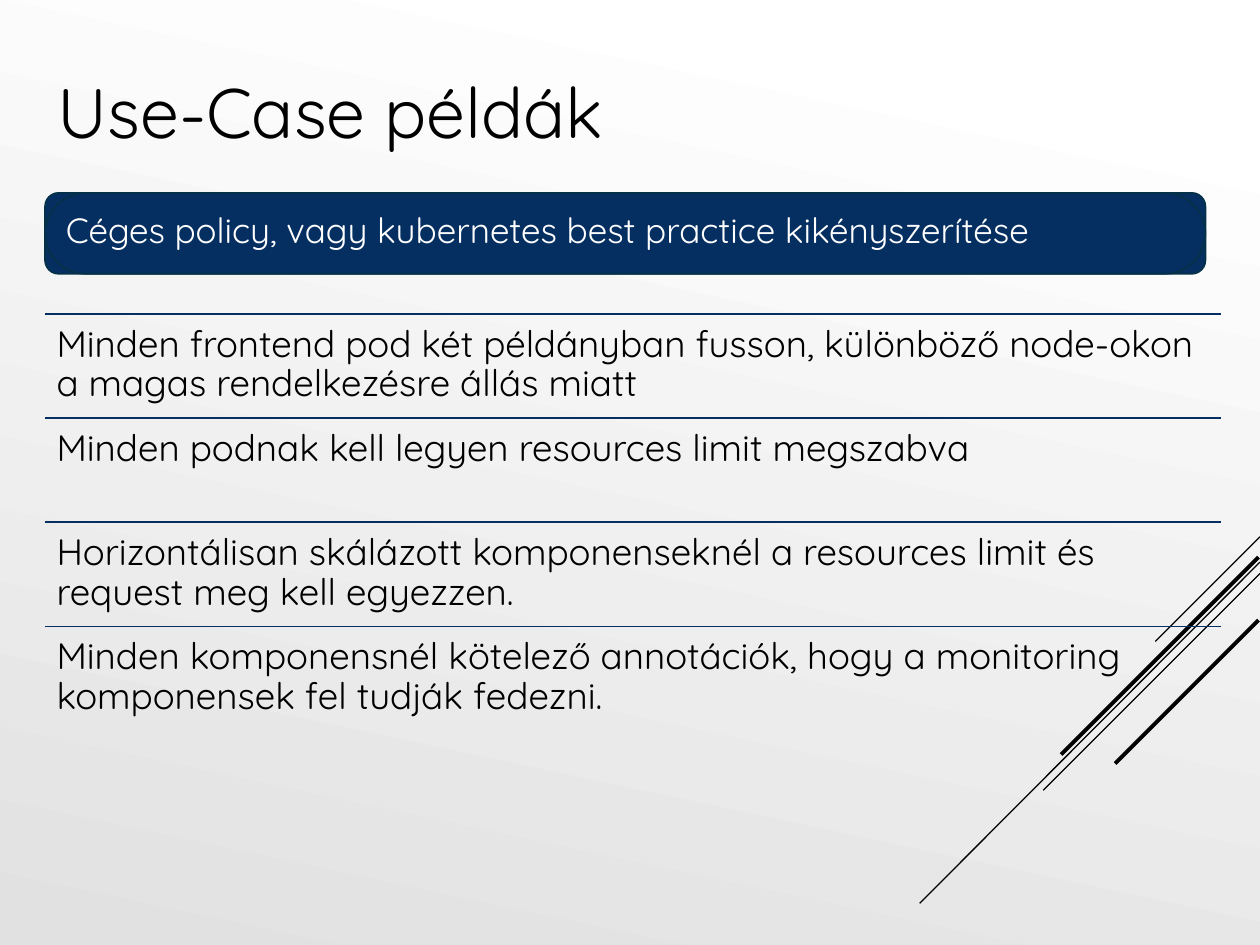
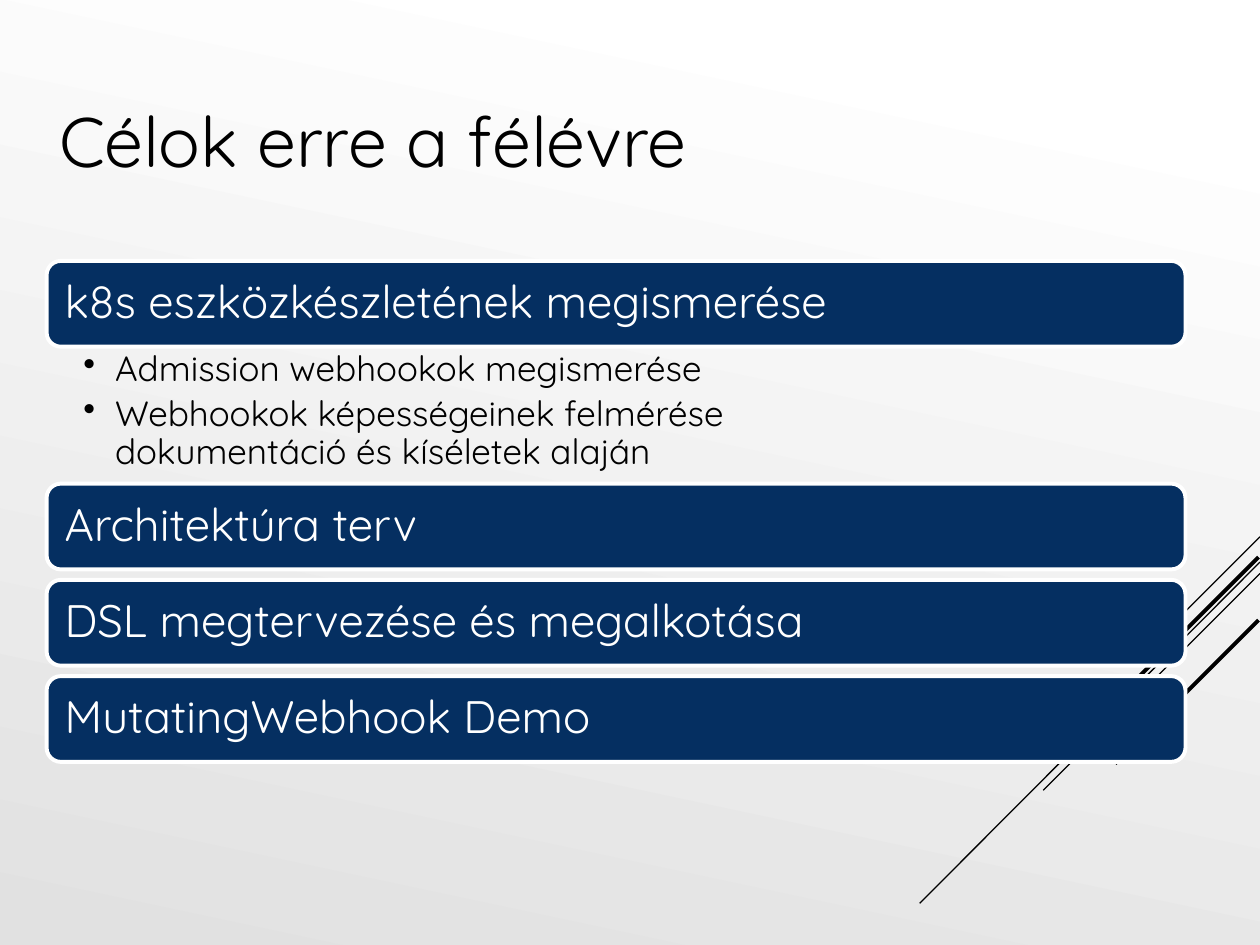
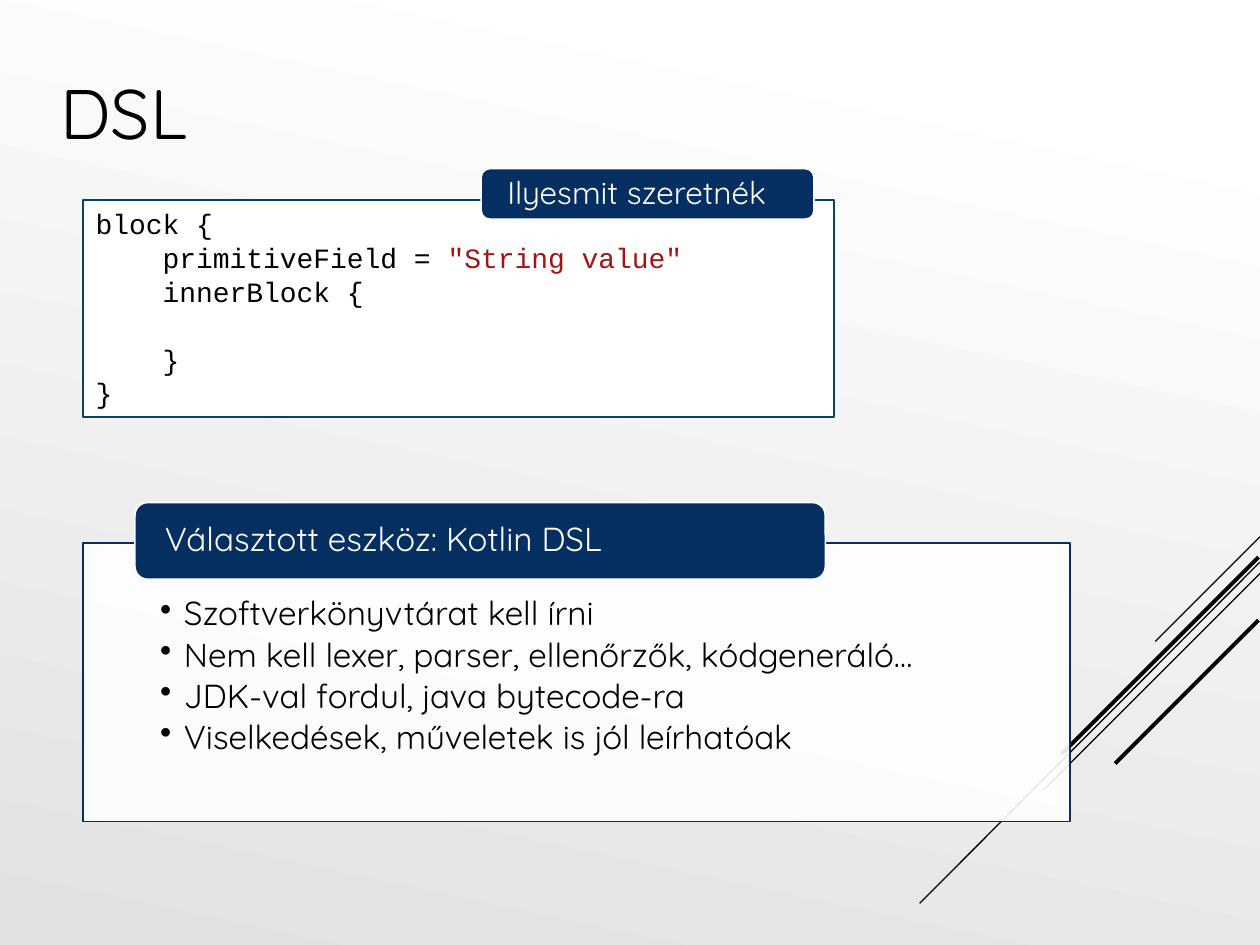
from dataclasses import dataclass

from lxml import etree
from pptx import Presentation
from pptx import util as u
from pptx.dml.color import RGBColor
from pptx.enum import shapes, text
from pptx.oxml.ns import qn


@dataclass(frozen=True)
class Theme:
    ink: str = "000000"
    paper: str = "FFFFFF"
    shade: str = "E1E1E1"
    navy: str = "052F61"
    navy_edge: str = "043148"
    code_edge: str = "054361"
    literal: str = "A31515"
    body_font: str = "Quicksand"
    code_font: str = "Courier New"
    title: int = 40
    bar: int = 26
    row: int = 21
    body: int = 20
    panel: int = 19
    tag: int = 18
    code: int = 16


def apply(target, values):
    for name, value in values.items():
        setattr(target, name, value)


def color(value):
    return RGBColor.from_string(value)


class Builder:
    def __init__(self, deck, theme):
        self.deck = deck
        self.theme = theme
        self.page = None

    def background(self):
        fill = self.deck.slide_master.background.fill
        fill.gradient()
        fill.gradient_angle = 258
        stops = ((0.1, self.theme.paper), (1, self.theme.shade))
        for stop, (position, tone) in zip(fill.gradient_stops, stops):
            stop.position = position
            stop.color.rgb = color(tone)

    def master_lines(self, lines):
        tree = self.deck.slide_master.shapes.element
        for number, (start, end, width) in enumerate(lines, 20):
            element = self.line(start, end, self.theme.ink, width).element
            element.nvCxnSpPr.cNvPr.set("id", str(number))
            tree.append(element)

    def new_page(self, title, place):
        self.page = self.deck.slides.add_slide(self.deck.slide_layouts[5])
        box = self.page.shapes.title
        apply(box, dict(zip(("left", "top", "width", "height"), map(u.Cm, place))))
        self.fill_text(box.text_frame, [title], self.theme.title, self.theme.ink,
                       anchor=text.MSO_ANCHOR.MIDDLE)

    def line(self, start, end, tone, width):
        connector = self.page.shapes.add_connector(
            shapes.MSO_CONNECTOR.STRAIGHT, *map(u.Cm, start + end))
        connector.line.color.rgb = color(tone)
        connector.line.width = u.Pt(width)
        etree.SubElement(connector.element.spPr, qn("a:effectLst"))
        return connector

    def shape(self, place, fill, edge, width=1, rounded=True, corner=None, opacity=None):
        kind = shapes.MSO_SHAPE.ROUNDED_RECTANGLE if rounded else shapes.MSO_SHAPE.RECTANGLE
        box = self.page.shapes.add_shape(kind, *map(u.Cm, place))
        box.shadow.inherit = False
        box.fill.solid()
        box.fill.fore_color.rgb = color(fill)
        box.line.color.rgb = color(edge)
        box.line.width = u.Pt(width)
        if corner is not None:
            box.adjustments[0] = corner
        if opacity is not None:
            tone = next(box.element.spPr.iter(qn("a:srgbClr")))
            etree.SubElement(tone, qn("a:alpha"), val=str(opacity * 1000))
        return box.text_frame

    def text_box(self, place):
        return self.page.shapes.add_textbox(*map(u.Cm, place)).text_frame

    def fill_text(self, frame, paras, size, tone, font=None,
                  insets=(0.25, 0.13, 0.25, 0.13), anchor=text.MSO_ANCHOR.TOP,
                  spacing=None, after=0, bullet=None):
        sides = ("margin_left", "margin_top", "margin_right", "margin_bottom")
        apply(frame, dict(zip(sides, map(u.Cm, insets))))
        apply(frame, {"word_wrap": True, "auto_size": text.MSO_AUTO_SIZE.NONE,
                      "vertical_anchor": anchor})
        for index, content in enumerate(paras):
            para = frame.paragraphs[0] if index == 0 else frame.add_paragraph()
            apply(para, {"alignment": text.PP_ALIGN.LEFT, "line_spacing": spacing,
                         "space_before": u.Pt(0), "space_after": u.Pt(after)})
            if bullet:
                self.indent(para, bullet, -bullet)
                etree.SubElement(para._p.get_or_add_pPr(), qn("a:buChar"), char="•")
            spans = [(content, tone)] if isinstance(content, str) else content
            for words, span_tone in spans:
                for part, words_line in enumerate(words.split("\n")):
                    if part:
                        para.add_line_break()
                    span = para.add_run()
                    span.text = words_line
                    apply(span.font, {"name": font or self.theme.body_font,
                                      "size": u.Pt(size)})
                    span.font.color.rgb = color(span_tone)

    def indent(self, para, left, first=0):
        properties = para._p.get_or_add_pPr()
        properties.set("marL", str(u.Cm(left)))
        properties.set("indent", str(u.Cm(first)))

    def bar(self, words, place, size, inset, width=1):
        frame = self.shape(place, self.theme.navy, self.theme.paper, width)
        self.fill_text(frame, [words], size, self.theme.paper, insets=(inset, 0, inset, 0),
                       anchor=text.MSO_ANCHOR.MIDDLE, spacing=0.9)


def use_cases(builder):
    theme = builder.theme
    builder.new_page("Use-Case példák", (0.91, 1.04, 23.7, 2.39))
    builder.master_lines([
        ((25.4, 10.82), (23.29, 12.93), 0.75),
        ((25.4, 11.33), (18.54, 18.21), 0.75),
        ((25.4, 11.56), (21.03, 15.93), 0.75),
        ((25.37, 11.23), (21.39, 15.21), 2.25),
        ((25.37, 12.5), (22.48, 15.39), 2.25),
    ])
    rows = [
        "Minden frontend pod két példányban fusson, különböző node-okon "
        "a magas rendelkezésre állás miatt",
        "Minden podnak kell legyen resources limit megszabva",
        "Horizontálisan skálázott komponenseknél a resources limit és "
        "request meg kell egyezzen.",
        "Minden komponensnél kötelező annotációk, hogy a monitoring "
        "komponensek fel tudják fedezni.",
    ]
    left, width, height = 0.91, 23.7, 2.1
    for index, words in enumerate(rows):
        top = 6.33 + index * height
        builder.line((left, top), (left + width, top), theme.navy, 1)
        builder.fill_text(builder.text_box((left, top, width, height)), [words], theme.row,
                          theme.ink, insets=(0.23,) * 4, spacing=0.9)
    banner = (left, 3.89, 23.39, 1.63)
    builder.shape(banner, theme.navy, theme.navy_edge)
    frame = builder.shape(banner, theme.navy, theme.navy_edge, corner=0.5)
    builder.fill_text(frame, ["Céges policy, vagy kubernetes best practice kikényszerítése"],
                      theme.body, theme.paper, insets=(0.18,) * 4, spacing=0.9)


def goals(builder):
    theme = builder.theme
    builder.new_page("Célok erre a félévre", (0.94, 1.45, 18.52, 2.74))
    left, width, height, first, second = 0.94, 22.96, 1.73, 5.26, 9.75
    bars = ["k8s eszközkészletének megismerése", "Architektúra terv",
            "DSL megtervezése és megalkotása", "MutatingWebhook Demo"]
    tops = [first] + [second + index * 1.94 for index in range(3)]
    for words, top in zip(bars, tops):
        builder.bar(words, (left, top, width, height), theme.bar, 0.28, 2.25)
    details = builder.text_box((left, first + height, width, second - first - height))
    builder.fill_text(details, ["Admission webhookok megismerése",
                                "Webhookok képességeinek felmérése\n"
                                "dokumentáció és kíséletek alaján"],
                      theme.body, theme.ink, insets=(0.74, 0.1, 0.51, 0.1),
                      spacing=0.9, after=4, bullet=0.64)


def dsl(builder):
    theme = builder.theme
    builder.new_page("DSL", (0.97, 0.86, 20.35, 2.79))
    code = builder.shape((1.68, 4.04, 15.14, 4.37), theme.paper, theme.code_edge,
                         rounded=False)
    pitch = u.Pt(19.3)
    builder.fill_text(code, ["block {",
                             [("primitiveField = ", theme.ink),
                              ('"String value"', theme.literal)],
                             "innerBlock {", "}", "}"],
                      theme.code, theme.ink, font=theme.code_font, spacing=pitch)
    for para in code.paragraphs[1:4]:
        builder.indent(para, 1.35)
    code.paragraphs[3].space_before = pitch
    panel = builder.shape((1.68, 10.95, 19.89, 5.61), theme.paper, theme.navy,
                          rounded=False, opacity=90)
    builder.fill_text(panel, ["Szoftverkönyvtárat kell írni",
                              "Nem kell lexer, parser, ellenőrzők, kódgeneráló…",
                              "JDK-val fordul, java bytecode-ra",
                              "Viselkedések, műveletek is jól leírhatóak"],
                      theme.panel, theme.ink, insets=(1.55, 1.09, 1.55, 0.38),
                      spacing=0.9, after=3, bullet=0.48)
    builder.bar("Választott eszköz: Kotlin DSL", (2.72, 10.13, 13.92, 1.55),
                theme.panel, 0.53)
    builder.bar("Ilyesmit szeretnék", (9.7, 3.4, 6.71, 1.02), theme.tag, 0.48)


def main():
    deck = Presentation()
    apply(deck, {"slide_width": u.Cm(25.4), "slide_height": u.Cm(19.05)})
    builder = Builder(deck, Theme())
    builder.background()
    for build in (use_cases, goals, dsl):
        build(builder)
    deck.save("out.pptx")


if __name__ == "__main__":
    main()
